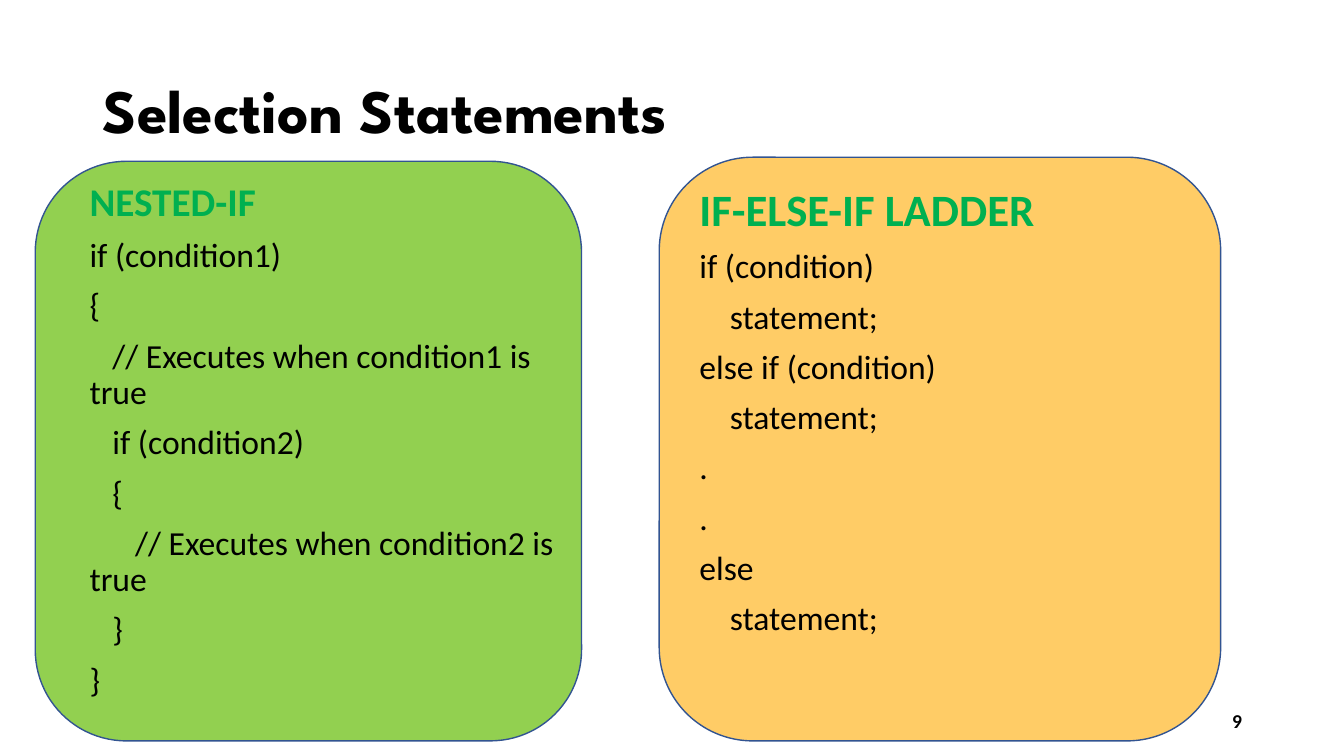
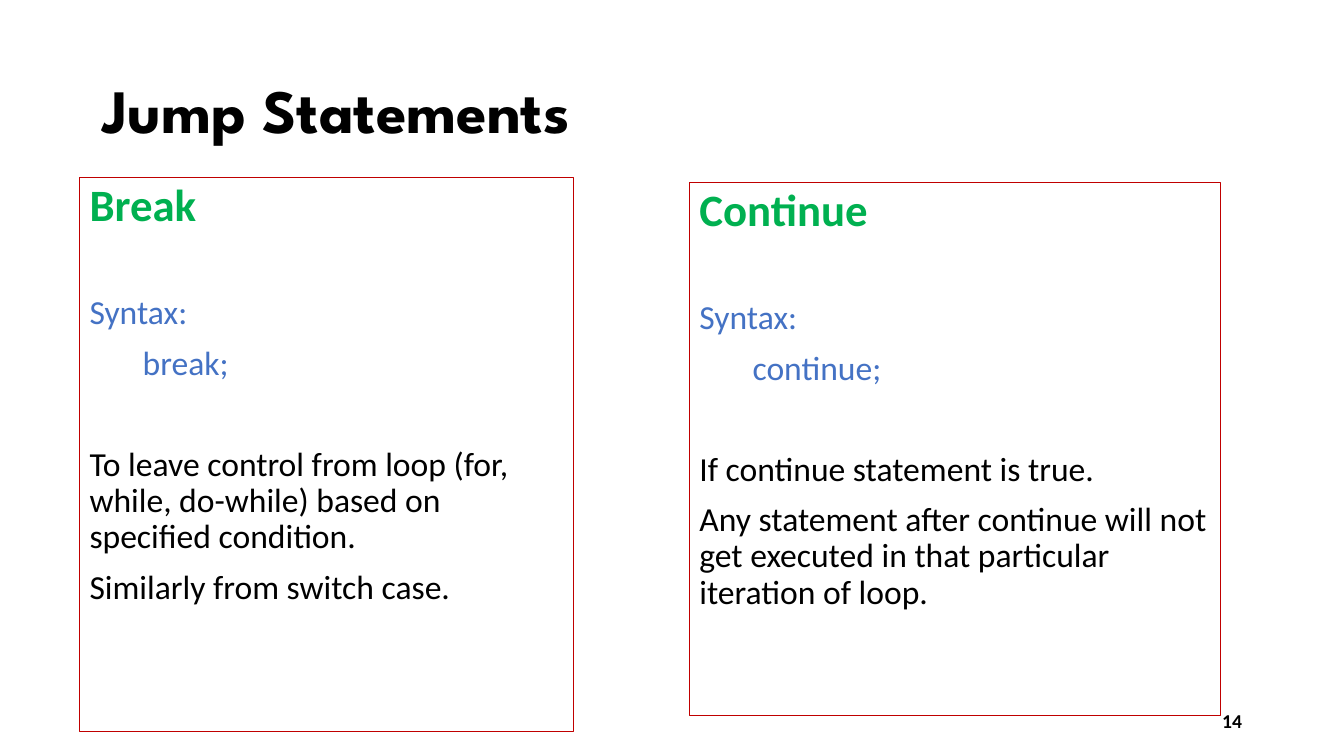
from pptx import Presentation
from pptx import util as u
from pptx.dml.color import RGBColor
from pptx.enum import shapes, text

# Shared look
BLACK = RGBColor(0x00, 0x00, 0x00)
GREEN = RGBColor(0x00, 0xB0, 0x50)
BLUE = RGBColor(0x44, 0x72, 0xC4)
RED = RGBColor(0xC0, 0x00, 0x00)
NAVY = RGBColor(0x32, 0x54, 0x91)
LIME = RGBColor(0x92, 0xD0, 0x50)
AMBER = RGBColor(0xFF, 0xCC, 0x66)
TITLE_FONT, BODY_FONT = "League Spartan", "Calibri"
BODY_SIZE, LINE_SPACING = 24, 0.9
GAP, SECTION_GAP = 10, 46.4  # points before a paragraph / before a new section

# Grid of 40 columns by 30 rows; boxes are (column, row, columns, rows)
WIDTH, HEIGHT = u.Inches(13.333), u.Inches(7.5)
COLUMNS, ROWS = 40, 30
TITLE_BOX = (2.76, 1.6, 34.5, 5.8)
NUMBER_BOX = (28.26, 27.8, 9, 1.6)
LEFT_BOX = (2.37, 7.04, 14.7, 22)
RIGHT_BOX = (20.52, 7.24, 15.81, 21.16)
LEFT_PANEL = (1.05, 6.4, 16.26, 23)
RIGHT_PANEL = (19.62, 6.24, 16.71, 23.16)


def place(box):
    column, row, columns, rows = box
    return (round(column * WIDTH / COLUMNS), round(row * HEIGHT / ROWS),
            round(columns * WIDTH / COLUMNS), round(rows * HEIGHT / ROWS))


def add_panel(slide, box, preset, line, weight, fill=None):
    panel = slide.shapes.add_shape(preset, *place(box))
    panel.shadow.inherit = False
    if fill is None:
        panel.fill.background()
    else:
        panel.fill.solid()
        panel.fill.fore_color.rgb = fill
    panel.line.color.rgb = line
    panel.line.width = u.Pt(weight)
    return panel


def add_frame(slide, box, anchor):
    return prepare_frame(slide.shapes.add_textbox(*place(box)), anchor)


def prepare_frame(holder, anchor):
    frame = holder.text_frame
    frame.word_wrap = True
    frame.vertical_anchor = anchor
    return frame


def write(paragraph, words, size, color=BLACK, bold=False, font=BODY_FONT):
    run = paragraph.add_run()
    run.text = words
    run.font.name = font
    run.font.size = u.Pt(size)
    run.font.bold = bold
    run.font.color.rgb = color


def write_column(frame, heading, heading_size, lines):
    """Heading, then lines given as (words, colour, space before)."""
    first = frame.paragraphs[0]
    first.alignment = text.PP_ALIGN.LEFT
    first.line_spacing = LINE_SPACING
    write(first, heading, heading_size, GREEN, bold=True)
    for words, color, space in lines:
        paragraph = frame.add_paragraph()
        paragraph.alignment = text.PP_ALIGN.LEFT
        paragraph.line_spacing = LINE_SPACING
        paragraph.space_before = u.Pt(space)
        write(paragraph, words, BODY_SIZE, color)


def add_base(deck, title, number):
    """Blank slide with its title and page number."""
    slide = deck.slides.add_slide(deck.slide_layouts[6])
    heading = add_frame(slide, TITLE_BOX, text.MSO_ANCHOR.MIDDLE).paragraphs[0]
    heading.line_spacing = LINE_SPACING
    write(heading, title, 44, bold=True, font=TITLE_FONT)
    page = add_frame(slide, NUMBER_BOX, text.MSO_ANCHOR.MIDDLE).paragraphs[0]
    page.alignment = text.PP_ALIGN.RIGHT
    write(page, str(number), 14, bold=True)
    return slide


def add_code_column(slide, panel_box, box, fill, heading, size, code):
    """Rounded coloured panel with code on it."""
    add_panel(slide, panel_box, shapes.MSO_SHAPE.ROUNDED_RECTANGLE, NAVY, 1, fill)
    frame = add_frame(slide, box, text.MSO_ANCHOR.TOP)
    write_column(frame, heading, size, [(line, BLACK, GAP) for line in code])


def add_syntax_column(slide, box, heading, statement, notes):
    """Outlined box with a statement's syntax and its meaning."""
    panel = add_panel(slide, box, shapes.MSO_SHAPE.RECTANGLE, RED, 0.75)
    lines = [("Syntax:", BLUE, SECTION_GAP), (statement, BLUE, GAP)]
    lines += [(note, BLACK, GAP if i else SECTION_GAP) for i, note in enumerate(notes)]
    write_column(prepare_frame(panel, text.MSO_ANCHOR.TOP), heading, 32, lines)


def main():
    deck = Presentation()
    deck.slide_width, deck.slide_height = WIDTH, HEIGHT

    # Selection statements
    selection = add_base(deck, "Selection Statements", 9)
    add_code_column(selection, LEFT_PANEL, LEFT_BOX, LIME, "NESTED-IF", 28, [
        "if (condition1)",
        "{",
        "   // Executes when condition1 is true",
        "   if (condition2)",
        "   {",
        "      // Executes when condition2 is true",
        "   }",
        "}",
    ])
    add_code_column(selection, RIGHT_PANEL, RIGHT_BOX, AMBER, "IF-ELSE-IF LADDER", 32, [
        "if (condition)",
        "    statement;",
        "else if (condition)",
        "    statement;",
        ".",
        ".",
        "else",
        "    statement;",
    ])

    # Jump statements
    jump = add_base(deck, "Jump Statements", 14)
    add_syntax_column(jump, LEFT_BOX, "Break", "       break;", [
        "To leave control from loop (for, while, do-while) based on specified condition.",
        "Similarly from switch case.",
    ])
    add_syntax_column(jump, RIGHT_BOX, "Continue", "       continue;", [
        "If continue statement is true.",
        "Any statement after continue will not get executed in that particular "
        "iteration of loop.",
    ])

    deck.save("out.pptx")


if __name__ == "__main__":
    main()
